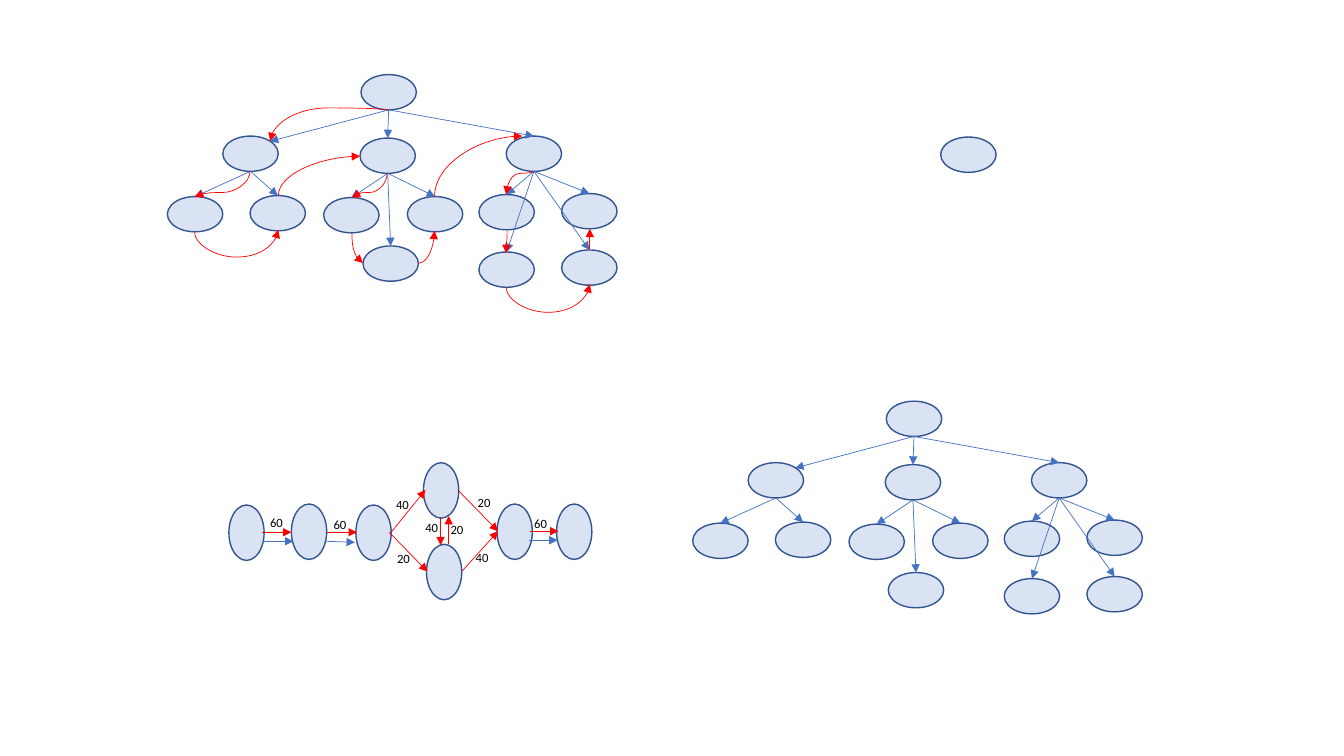
"""Build a slide with two node trees, a traversal walk and a flow network."""
from lxml.etree import SubElement
from pptx import Presentation
from pptx.dml.color import RGBColor
from pptx.enum.shapes import MSO_CONNECTOR, MSO_SHAPE
from pptx.enum.text import MSO_AUTO_SIZE
from pptx.oxml.ns import qn
from pptx.util import Inches, Pt

THEME = {
    "node_fill": RGBColor.from_string("DAE3F3"),
    "node_line": RGBColor.from_string("325491"),
    "edge": RGBColor.from_string("4472C4"),
    "walk": RGBColor.from_string("FF0000"),
    "text": RGBColor.from_string("000000"),
    "font": "Calibri",
    "label_size": Pt(9),
    "node_width": Pt(1),
    "edge_width": Pt(0.5),
}
NODE_SIZE = (0.55, 0.35)
TOP, BOTTOM, TOP_RIGHT = 0, 4, 7
SITES = {TOP: (0.5, 0), BOTTOM: (0.5, 1), TOP_RIGHT: (0.85, 0.15)}

TREE_NODES = {
    "root": (3.58, 0.74),
    "left": (2.21, 1.35), "middle": (3.57, 1.37), "right": (5.02, 1.35),
    "left 1": (1.66, 1.95), "left 2": (2.48, 1.94),
    "middle 1": (3.21, 1.96), "middle 2": (3.60, 2.44), "middle 3": (4.04, 1.95),
    "right 1": (4.75, 1.93), "right 2": (4.75, 2.50),
    "right 3": (5.57, 2.48), "right 4": (5.57, 1.92),
}
TREE_CHILDREN = {
    "root": ["left", "middle", "right"],
    "left": ["left 1", "left 2"],
    "middle": ["middle 1", "middle 2", "middle 3"],
    "right": ["right 1", "right 2", "right 3", "right 4"],
}
UPPER_TREE, LOWER_TREE = (0, 0), (5.21, 3.24)
LONE_NODE = (9.33, 1.36)

WALK_BENDS = [
    ((3.85, 1.09), (2.68, 1.40), 1.07),
    ((2.48, 1.70), (1.93, 1.95), 1.91),
    ((1.93, 2.30), (2.76, 2.28), 2.55),
    ((3.84, 1.72), (3.49, 1.96), 1.91),
    ((5.30, 1.70), (5.02, 1.93), 1.72),
    ((5.03, 2.29), (5.02, 2.51), 2.40),
    ((5.02, 2.85), (5.85, 2.82), 3.10),
    ((5.85, 2.48), (5.85, 2.27), 2.37),
]
WALK_QUARTERS = [
    ((2.76, 1.94), (3.57, 1.55), "upright"),
    ((3.49, 2.31), (3.60, 2.61), "upright"),
    ((4.15, 2.61), (4.31, 2.29), "level"),
    ((4.31, 1.95), (5.18, 1.35), "upright"),
]

NETWORK_NODES = [(2.79, 5.10), (2.17, 5.11), (3.43, 5.11), (4.13, 5.50),
                 (4.10, 4.69), (4.83, 5.10), (5.42, 5.10)]
NETWORK_ARROWS = {
    "walk": [
        ((2.60, 5.28), (2.89, 5.28)), ((3.24, 5.28), (3.54, 5.28)),
        ((3.88, 5.28), (4.22, 4.86)), ((3.86, 5.28), (4.24, 5.67)),
        ((4.54, 4.86), (4.94, 5.27)), ((4.58, 5.67), (4.94, 5.27)),
        ((5.26, 5.27), (5.54, 5.27)), ((4.37, 5.13), (4.37, 5.41)),
        ((4.45, 5.40), (4.45, 5.12)),
    ],
    "edge": [
        ((2.62, 5.37), (2.91, 5.37)), ((3.22, 5.37), (3.52, 5.38)),
        ((5.25, 5.36), (5.53, 5.36)),
    ],
}
NETWORK_LABELS = [
    ("60", 2.58, 5.06), ("60", 3.21, 5.08), ("40", 3.83, 4.88),
    ("40", 4.12, 5.11), ("20", 3.84, 5.42), ("20", 4.37, 5.13),
    ("20", 4.64, 4.86), ("40", 4.62, 5.41), ("60", 5.20, 5.07),
]


def add_node(shapes, left, top, rotation=0):
    width, height = NODE_SIZE
    node = shapes.add_shape(MSO_SHAPE.OVAL, Inches(left), Inches(top),
                            Inches(width), Inches(height))
    node.rotation = rotation
    node.shadow.inherit = False
    node.fill.solid()
    node.fill.fore_color.rgb = THEME["node_fill"]
    node.line.color.rgb = THEME["node_line"]
    node.line.width = THEME["node_width"]
    return node


def add_arrow(shapes, start, end, color, kind=MSO_CONNECTOR.STRAIGHT):
    arrow = shapes.add_connector(kind, *(Inches(value) for value in start + end))
    arrow.line.color.rgb = THEME[color]
    arrow.line.width = THEME["edge_width"]
    properties = arrow.element.spPr
    SubElement(properties.find(qn("a:ln")), qn("a:tailEnd"), type="triangle")
    SubElement(properties, qn("a:effectLst"))
    return arrow


def turn_upright(arrow, start, end):
    """Lay the connector out so that it leaves its start vertically."""
    across, down = end[0] - start[0], end[1] - start[1]
    width, height = abs(down), abs(across)
    arrow.left = Inches((start[0] + end[0] - width) / 2)
    arrow.top = Inches((start[1] + end[1] - height) / 2)
    arrow.width, arrow.height = Inches(width), Inches(height)
    transform = arrow.element.spPr.find(qn("a:xfrm"))
    transform.set("rot", str(90 * 60000))
    transform.set("flipH", str(int(down < 0)))
    transform.set("flipV", str(int(across > 0)))


def add_walk(shapes):
    for start, end, bend in WALK_BENDS:
        arrow = add_arrow(shapes, start, end, "walk", MSO_CONNECTOR.CURVE)
        turn_upright(arrow, start, end)
        share = round(100000 * (bend - start[1]) / (end[1] - start[1]))
        adjustments = arrow.element.spPr.find(qn("a:prstGeom")).find(qn("a:avLst"))
        SubElement(adjustments, qn("a:gd"), name="adj1", fmla=f"val {share}")
    for start, end, direction in WALK_QUARTERS:
        arrow = add_arrow(shapes, start, end, "walk", MSO_CONNECTOR.CURVE)
        arrow.element.spPr.find(qn("a:prstGeom")).set("prst", "curvedConnector2")
        if direction == "upright":
            turn_upright(arrow, start, end)


def add_tree(shapes, offset):
    places = {name: (left + offset[0], top + offset[1])
              for name, (left, top) in TREE_NODES.items()}
    nodes = {name: add_node(shapes, *place) for name, place in places.items()}
    for parent, children in TREE_CHILDREN.items():
        for child in children:
            joins = [("a:stCxn", parent, BOTTOM),
                     ("a:endCxn", child, TOP_RIGHT if child == "left" else TOP)]
            start, end = (
                tuple(corner + share * size for corner, share, size
                      in zip(places[name], SITES[site], NODE_SIZE))
                for _, name, site in joins)
            arrow = add_arrow(shapes, start, end, "edge")
            holder = arrow.element.find(".//" + qn("p:cNvCxnSpPr"))
            for tag, name, site in joins:
                SubElement(holder, qn(tag), id=str(nodes[name].shape_id), idx=str(site))


def add_label(shapes, text, left, top):
    label = shapes.add_textbox(Inches(left), Inches(top), Inches(0.33), Inches(0.25))
    label.text_frame.word_wrap = False
    label.text_frame.auto_size = MSO_AUTO_SIZE.SHAPE_TO_FIT_TEXT
    paragraph = label.text_frame.paragraphs[0]
    paragraph.text = text
    paragraph.font.name = THEME["font"]
    paragraph.font.size = THEME["label_size"]
    paragraph.font.color.rgb = THEME["text"]


def add_network(shapes):
    for place in NETWORK_NODES:
        add_node(shapes, *place, rotation=270)
    for color, arrows in NETWORK_ARROWS.items():
        for start, end in arrows:
            add_arrow(shapes, start, end, color)
    for label in NETWORK_LABELS:
        add_label(shapes, *label)


def main():
    presentation = Presentation()
    presentation.slide_width, presentation.slide_height = Inches(13.33), Inches(7.5)
    slide = presentation.slides.add_slide(presentation.slide_layouts[6])
    add_tree(slide.shapes.add_group_shape().shapes, LOWER_TREE)
    add_node(slide.shapes, *LONE_NODE)
    walked_tree = slide.shapes.add_group_shape().shapes
    add_tree(walked_tree, UPPER_TREE)
    add_walk(walked_tree)
    add_network(slide.shapes.add_group_shape().shapes)
    presentation.save("out.pptx")


if __name__ == "__main__":
    main()
